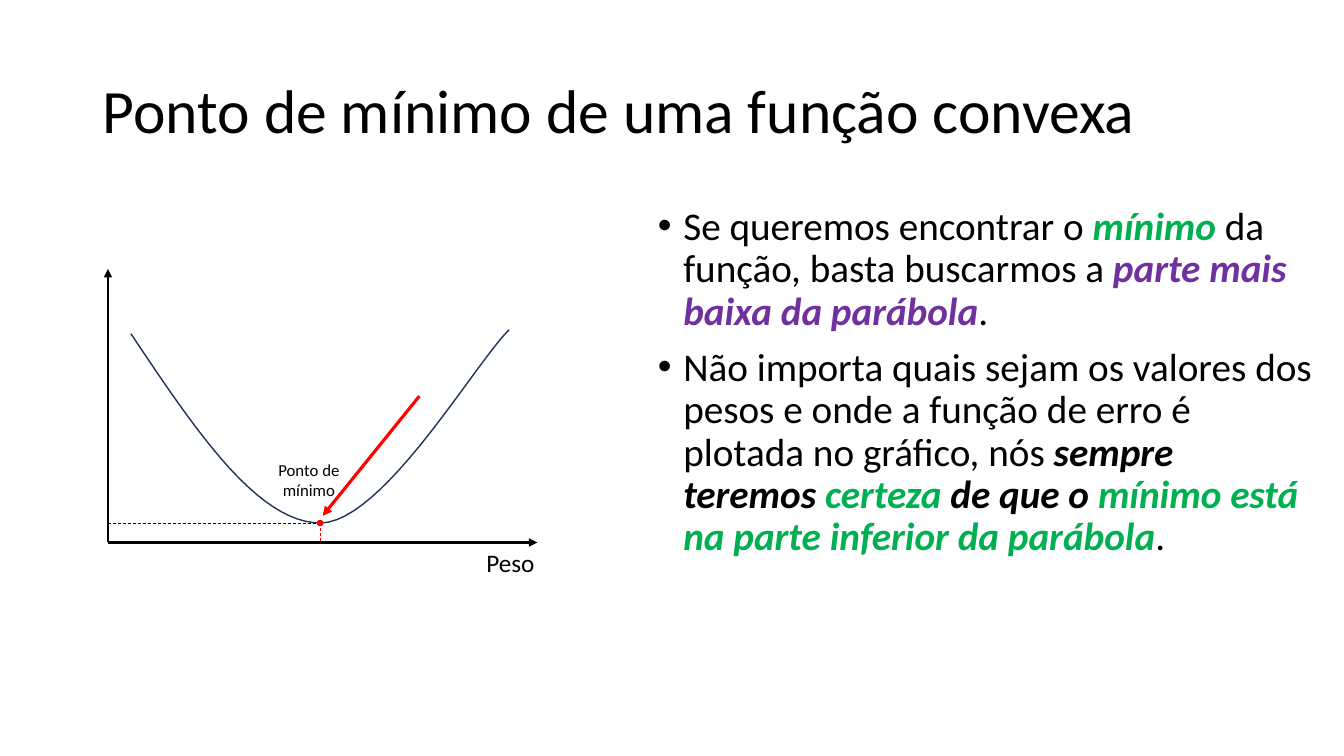
from lxml import etree
from pptx import Presentation
from pptx.dml.color import RGBColor
from pptx.enum.dml import MSO_LINE
from pptx.enum.shapes import MSO_CONNECTOR, MSO_SHAPE
from pptx.enum.text import MSO_ANCHOR, PP_ALIGN
from pptx.oxml.ns import qn
from pptx.util import Cm, Pt

BLACK = RGBColor(0x00, 0x00, 0x00)
RED = RGBColor(0xFF, 0x00, 0x00)
GREEN = RGBColor(0x00, 0xB0, 0x50)
PURPLE = RGBColor(0x70, 0x30, 0xA0)
NAVY = RGBColor(0x1E, 0x32, 0x56)

LEFT, CENTER, RIGHT = PP_ALIGN.LEFT, PP_ALIGN.CENTER, PP_ALIGN.RIGHT
TOP, MIDDLE = MSO_ANCHOR.TOP, MSO_ANCHOR.MIDDLE
STRAIGHT, OVAL, DASH = MSO_CONNECTOR.STRAIGHT, MSO_SHAPE.OVAL, MSO_LINE.DASH

PLAIN = (BLACK, False)
STRONG = (BLACK, True)
STRONG_GREEN = (GREEN, True)
STRONG_PURPLE = (PURPLE, True)

# Each point is a list of spans: text, (colour, bold italic)
POINTS = [
    [
        ("Se queremos encontrar o ", PLAIN),
        ("mínimo", STRONG_GREEN),
        (" da função, basta buscarmos a ", PLAIN),
        ("parte mais baixa da parábola", STRONG_PURPLE),
        (".", PLAIN),
    ],
    [
        ("Não importa quais sejam os valores dos pesos e onde a função "
         "de erro é plotada no gráfico, nós ", PLAIN),
        ("sempre teremos ", STRONG),
        ("certeza", STRONG_GREEN),
        (" de que o ", STRONG),
        ("mínimo está na parte inferior da parábola", STRONG_GREEN),
        (".", PLAIN),
    ],
]

# Lengths in centimetres
ORIGIN = (2.72, 13.67)
AXIS_ENDS = [(13.54, 13.67), (2.72, 6.78)]
MINIMUM = (8.07, 13.18)
DOT_SIZE = 0.13
CURVE_START = (3.3, 8.41)
CURVE_SEGMENTS = [
    [(4.9, 10.8), (6.48, 13.18), (8.08, 13.18)],
    [(9.65, 13.16), (11.96, 9.17), (12.83, 8.31)],
]


def bezier_point(corners, t):
    weights = ((1 - t) ** 3, 3 * t * (1 - t) ** 2, 3 * t ** 2 * (1 - t), t ** 3)
    return tuple(sum(w * corner[axis] for w, corner in zip(weights, corners))
                 for axis in (0, 1))


def add_bullet(paragraph):
    properties = paragraph._p.get_or_add_pPr()
    properties.set("marL", str(Cm(0.64)))
    properties.set("indent", str(-Cm(0.64)))
    etree.SubElement(properties, qn("a:buFont")).set("typeface", "Arial")
    etree.SubElement(properties, qn("a:buChar")).set("char", "•")


class SlidePainter:
    def __init__(self, slide, font):
        self.slide = slide
        self.font = font

    def text(self, paragraphs, left, top, width, height, *, size, align=LEFT,
             anchor=TOP, line_spacing=1.0, space_before=0, bullets=False):
        box = self.slide.shapes.add_textbox(
            Cm(left), Cm(top), Cm(width), Cm(height))
        frame = box.text_frame
        frame.word_wrap = True
        frame.vertical_anchor = anchor
        for index, spans in enumerate(paragraphs):
            para = frame.add_paragraph() if index else frame.paragraphs[0]
            para.alignment = align
            para.line_spacing = line_spacing
            para.space_before = Pt(space_before if index else 0)
            if bullets:
                add_bullet(para)
            for content, (color, strong) in spans:
                span = para.add_run()
                span.text = content
                span.font.name = self.font
                span.font.size = Pt(size)
                span.font.color.rgb = color
                span.font.bold = span.font.italic = strong

    def line(self, start, end, color, width, *, dash=None, arrow=False):
        connector = self.slide.shapes.add_connector(
            STRAIGHT, *(Cm(value) for value in start + end))
        connector.line.color.rgb = color
        connector.line.width = Pt(width)
        if dash is not None:
            connector.line.dash_style = dash
        if arrow:
            outline = connector.line._get_or_add_ln()
            etree.SubElement(outline, qn("a:tailEnd")).set("type", "triangle")
        etree.SubElement(connector._element.spPr, qn("a:effectLst"))

    def curve(self, start, segments, color, width, steps=24):
        points = []
        corner = start
        for segment in segments:
            points += [bezier_point([corner] + segment, step / steps)
                       for step in range(1, steps + 1)]
            corner = segment[-1]
        builder = self.slide.shapes.build_freeform(Cm(start[0]), Cm(start[1]))
        builder.add_line_segments([(Cm(x), Cm(y)) for x, y in points],
                                  close=False)
        shape = builder.convert_to_shape()
        shape.shadow.inherit = False
        shape.fill.background()
        shape.line.color.rgb = color
        shape.line.width = Pt(width)

    def dot(self, center, size, color):
        left, top = (Cm(value - size / 2) for value in center)
        shape = self.slide.shapes.add_shape(OVAL, left, top, Cm(size), Cm(size))
        shape.shadow.inherit = False
        shape.fill.solid()
        shape.fill.fore_color.rgb = color
        shape.line.color.rgb = color
        shape.line.width = Pt(1)


def main():
    deck = Presentation()
    deck.slide_width, deck.slide_height = Cm(33.87), Cm(19.05)
    page = SlidePainter(deck.slides.add_slide(deck.slide_layouts[6]), "Calibri")

    page.curve(CURVE_START, CURVE_SEGMENTS, NAVY, 1)
    page.text([[("Ponto de mínimo de uma função convexa", PLAIN)]],
              2.34, 1.02, 29.21, 3.68, size=44, anchor=MIDDLE, line_spacing=0.9)
    page.text(POINTS, 16.33, 5.08, 17.02, 13.97, size=28, line_spacing=0.9,
              space_before=10, bullets=True)

    for end in AXIS_ENDS:
        page.line(ORIGIN, end, BLACK, 1.5, arrow=True)
    page.text([[("Peso", PLAIN)]], 11.94, 13.67, 1.78, 1.02,
              size=18, align=RIGHT)
    page.line((ORIGIN[0], MINIMUM[1]), MINIMUM, BLACK, 0.5, dash=DASH)
    page.text([[("Ponto de mínimo", PLAIN)]], 6.3, 11.46, 2.97, 1.52,
              size=12, align=CENTER)
    page.line(MINIMUM, (MINIMUM[0], ORIGIN[1]), RED, 0.5, dash=DASH)
    page.dot(MINIMUM, DOT_SIZE, RED)
    page.line((10.57, 9.98), (8.13, 13.0), RED, 2.25, arrow=True)

    deck.save("out.pptx")


if __name__ == "__main__":
    main()
